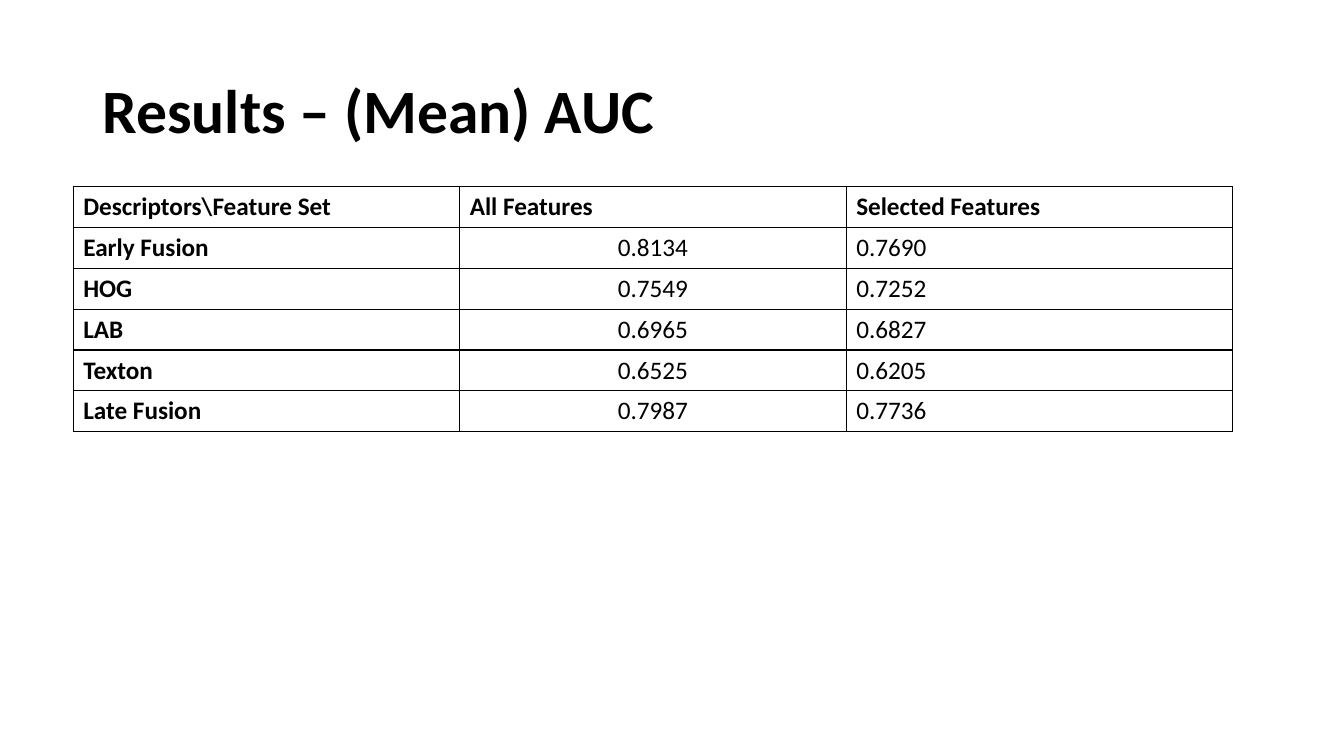
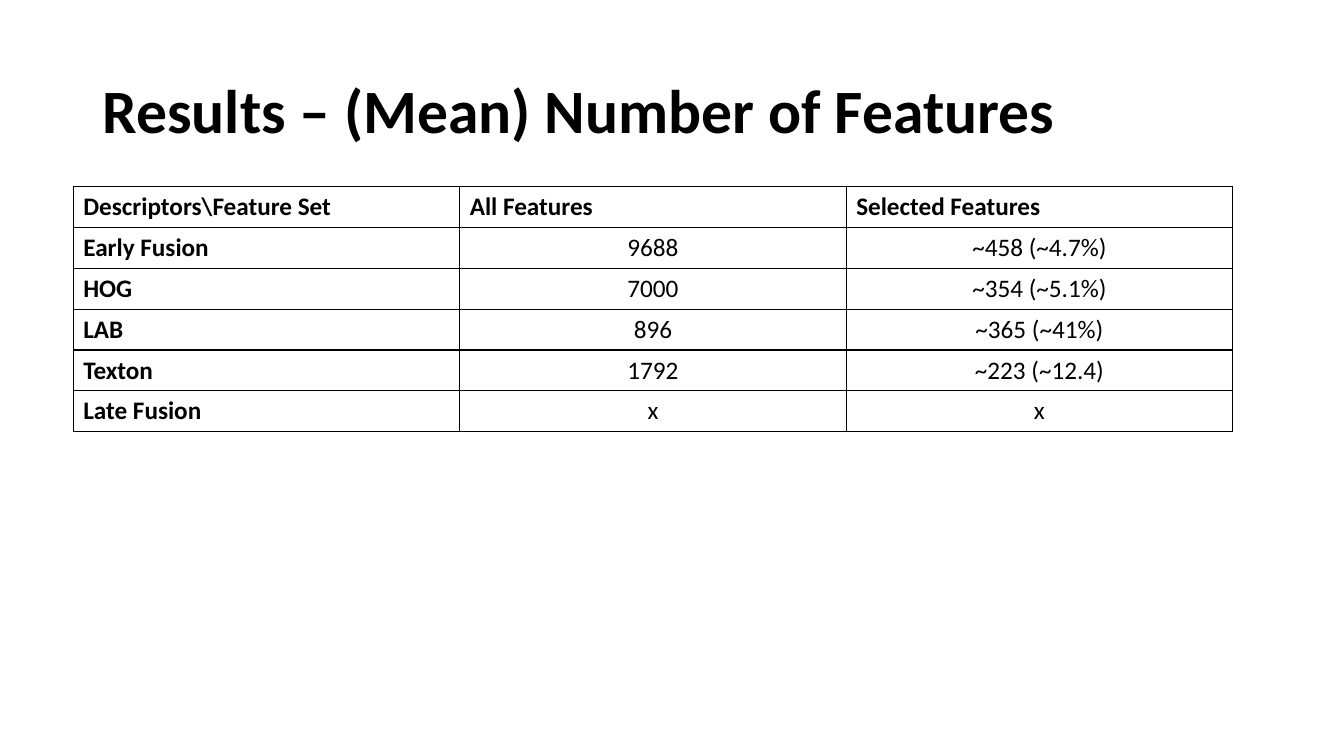
from pptx import Presentation
from pptx.dml.color import RGBColor
from pptx.enum.text import MSO_ANCHOR, PP_ALIGN
from pptx.oxml.ns import qn
from pptx.util import Inches, Pt
from lxml.etree import SubElement

LEFT, CENTER = PP_ALIGN.LEFT, PP_ALIGN.CENTER
HEADER = ["Descriptors\\Feature Set", "All Features", "Selected Features"]
DESCRIPTORS = ["Early Fusion", "HOG", "LAB", "Texton", "Late Fusion"]
SLIDES = [
    {
        "title": "Results – (Mean) AUC",
        "all": ["0.8134", "0.7549", "0.6965", "0.6525", "0.7987"],
        "selected": ["0.7690", "0.7252", "0.6827", "0.6205", "0.7736"],
        "aligns": [LEFT, CENTER, LEFT],
    },
    {
        "title": "Results – (Mean) Number of Features",
        "all": ["9688", "7000", "896", "1792", "x"],
        "selected": ["~458 (~4.7%)", "~354 (~5.1%)", "~365 (~41%)", "~223 (~12.4)", "x"],
        "aligns": [LEFT, CENTER, CENTER],
    },
]

COLORS = {"text": "000000", "border": "000000", "cell": "FFFFFF"}
FONT = "Calibri"
TITLE_SIZE, CELL_SIZE = 44, 18
BORDER_WIDTH = 1
WIDTH, HEIGHT = Inches(13.33), Inches(7.5)
CONTENT_WIDTH = Inches(11.5)
TITLE_LEFT, TITLE_TOP, TITLE_HEIGHT = Inches(0.92), Inches(0.4), Inches(1.45)
TABLE_LEFT, TABLE_TOP = Pt(52.3), TITLE_TOP + TITLE_HEIGHT
ROW_HEIGHT = Pt(29.2)


def add_run(p, text, size, bold):
    r = p.add_run()
    r.text = text
    r.font.name = FONT
    r.font.size = Pt(size)
    r.font.bold = bold
    r.font.color.rgb = RGBColor.from_string(COLORS["text"])


def add_title(s, text):
    box = s.shapes.add_textbox(TITLE_LEFT, TITLE_TOP, CONTENT_WIDTH, TITLE_HEIGHT)
    tf = box.text_frame
    tf.word_wrap = True
    tf.vertical_anchor = MSO_ANCHOR.MIDDLE
    p = tf.paragraphs[0]
    p.line_spacing = 0.9
    add_run(p, text, TITLE_SIZE, True)


def style_cell(cell):
    props = cell._tc.get_or_add_tcPr()
    for side in ("a:lnL", "a:lnR", "a:lnT", "a:lnB"):
        line = SubElement(props, qn(side), w=str(Pt(BORDER_WIDTH)))
        fill = SubElement(line, qn("a:solidFill"))
        SubElement(fill, qn("a:srgbClr"), val=COLORS["border"])
    cell.fill.solid()
    cell.fill.fore_color.rgb = RGBColor.from_string(COLORS["cell"])


def add_results_table(s, rows, aligns):
    table = s.shapes.add_table(len(rows), len(HEADER), TABLE_LEFT, TABLE_TOP,
                               CONTENT_WIDTH, ROW_HEIGHT * len(rows)).table
    table.first_row = table.horz_banding = False
    for i, row in enumerate(rows):
        for j, text in enumerate(row):
            cell = table.cell(i, j)
            style_cell(cell)
            p = cell.text_frame.paragraphs[0]
            p.alignment = aligns[j] if i else LEFT
            add_run(p, text, CELL_SIZE, i == 0 or j == 0)


def main():
    prs = Presentation()
    prs.slide_width, prs.slide_height = WIDTH, HEIGHT
    for content in SLIDES:
        s = prs.slides.add_slide(prs.slide_layouts[6])
        add_title(s, content["title"])
        rows = [HEADER, *zip(DESCRIPTORS, content["all"], content["selected"])]
        add_results_table(s, rows, content["aligns"])
    prs.save("out.pptx")


if __name__ == "__main__":
    main()
